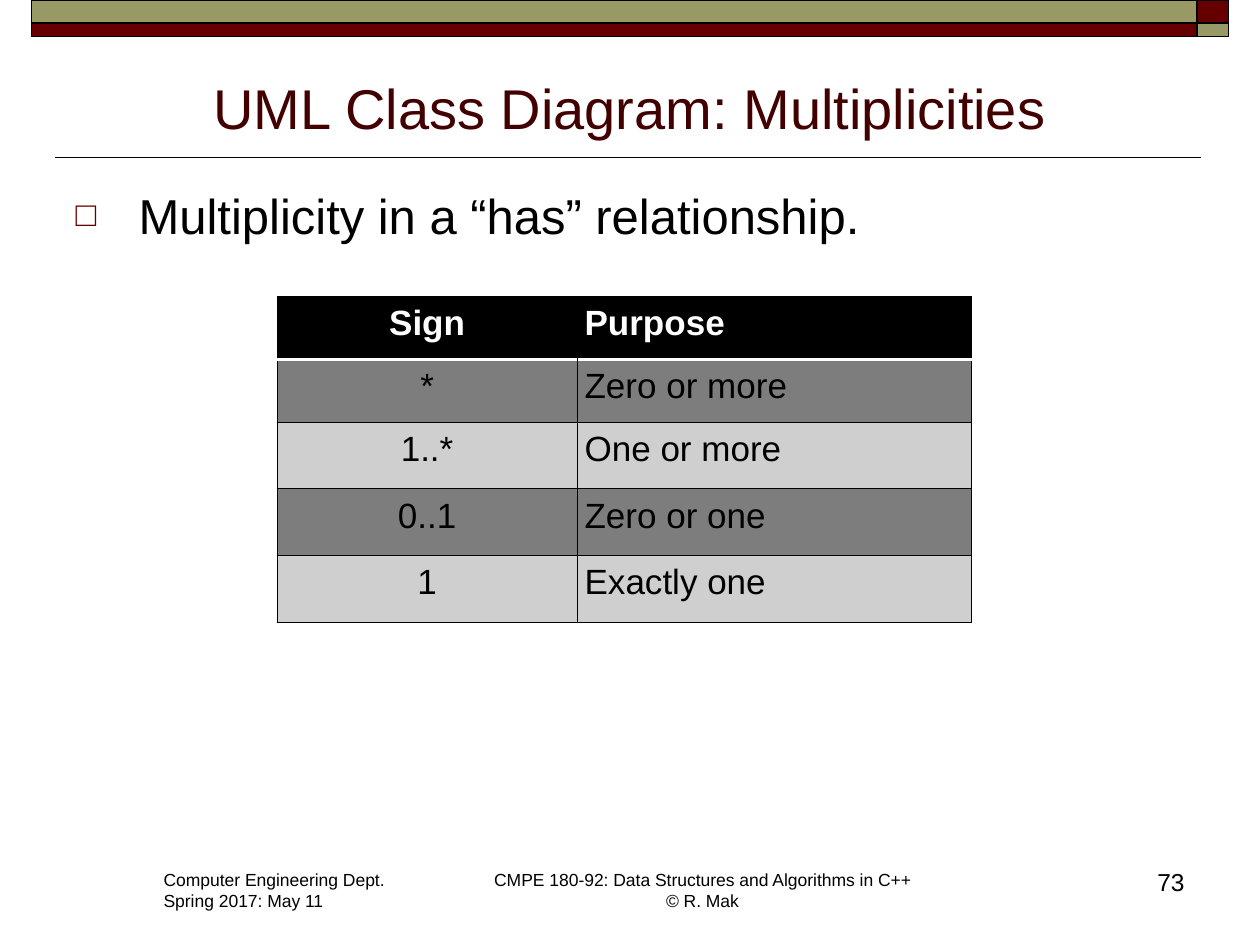
from dataclasses import dataclass
from typing import Optional

import lxml.etree
import pptx
import pptx.dml.color
import pptx.enum.shapes
import pptx.enum.text
import pptx.oxml.ns
import pptx.util

Inches = pptx.util.Inches
Pt = pptx.util.Pt
Align = pptx.enum.text.PP_ALIGN
qn = pptx.oxml.ns.qn

OLIVE, MAROON, DARK_RED = "999966", "660000", "420000"
BLACK, WHITE = "000000", "FFFFFF"
DARK_GRAY, LIGHT_GRAY = "7D7D7D", "CFCFCF"


@dataclass
class Band:
    left: float
    top: float
    width: float
    height: float
    color: str


@dataclass
class Label:
    left: float
    top: float
    width: float
    height: float
    text: str
    size: float
    align: Align
    wrap: bool = False


def rgb(color: str) -> pptx.dml.color.RGBColor:
    return pptx.dml.color.RGBColor.from_string(color)


def write(frame, text: str, *, size: float, color: str = BLACK,
          align: Align = Align.LEFT, bold: bool = False) -> None:
    """Fill a text frame; a newline starts a paragraph, \\v breaks a line."""
    frame.text = text
    for para in frame.paragraphs:
        para.alignment = align
        para.space_before = Pt(0)
        for span in para.runs:
            span.font.name = "Arial"
            span.font.size = Pt(size)
            span.font.bold = bold
            span.font.color.rgb = rgb(color)


def place(shape, left: float, top: float, width: float, height: float) -> None:
    shape.left, shape.top = Inches(left), Inches(top)
    shape.width, shape.height = Inches(width), Inches(height)


def draw_band(page, band: Band) -> None:
    shape = page.shapes.add_shape(
        pptx.enum.shapes.MSO_SHAPE.RECTANGLE, Inches(band.left),
        Inches(band.top), Inches(band.width), Inches(band.height))
    shape.shadow.inherit = False
    shape.fill.solid()
    shape.fill.fore_color.rgb = rgb(band.color)
    shape.line.color.rgb = rgb(BLACK)
    shape.line.width = Pt(1)


def draw_rule(page, left: float, right: float, y: float) -> None:
    rule = page.shapes.add_connector(
        pptx.enum.shapes.MSO_CONNECTOR.STRAIGHT,
        Inches(left), Inches(y), Inches(right), Inches(y))
    rule.line.color.rgb = rgb(BLACK)
    rule.line.width = Pt(1)
    lxml.etree.SubElement(rule._element.spPr, qn("a:effectLst"))


def draw_label(page, label: Label) -> None:
    box = page.shapes.add_textbox(
        Inches(label.left), Inches(label.top),
        Inches(label.width), Inches(label.height))
    box.text_frame.word_wrap = label.wrap
    write(box.text_frame, label.text, size=label.size, align=label.align)


def add_bullet(para, character: str, color: str, percent: int, indent: float) -> None:
    properties = para._p.get_or_add_pPr()
    properties.set("marL", str(Inches(indent)))
    properties.set("indent", str(-Inches(indent)))
    tint = lxml.etree.SubElement(properties, qn("a:buClr"))
    lxml.etree.SubElement(tint, qn("a:srgbClr"), val=color)
    lxml.etree.SubElement(properties, qn("a:buSzPct"), val=str(percent * 1000))
    lxml.etree.SubElement(properties, qn("a:buChar"), char=character)


def add_border(cell, side: str, color: Optional[str], width: float = 0.75) -> None:
    """Sides must be added in the order L, R, T, B, before the cell's fill."""
    border = lxml.etree.SubElement(
        cell._tc.get_or_add_tcPr(), qn(f"a:ln{side}"), w=str(Pt(width)))
    if color is None:
        lxml.etree.SubElement(border, qn("a:noFill"))
    else:
        fill = lxml.etree.SubElement(border, qn("a:solidFill"))
        lxml.etree.SubElement(fill, qn("a:srgbClr"), val=color)


def format_cell(cell, text: str, row: int, column: int) -> None:
    header = row == 0
    inner = None if header else BLACK
    add_border(cell, "L", BLACK if column == 0 else inner)
    add_border(cell, "R", BLACK if column == 1 else inner)
    add_border(cell, "T", *((WHITE, 2) if row == 1 else (BLACK,)))
    add_border(cell, "B", *((WHITE, 2) if header else (BLACK,)))
    cell.margin_left = cell.margin_right = Inches(0.06)
    cell.margin_top = cell.margin_bottom = Inches(0.06)
    cell.fill.solid()
    cell.fill.fore_color.rgb = rgb(
        BLACK if header else DARK_GRAY if row % 2 else LIGHT_GRAY)
    write(cell.text_frame, text, size=20, bold=header,
          color=WHITE if header else BLACK,
          align=Align.CENTER if column == 0 else Align.LEFT)


def draw_table(page, rows: list[tuple[str, str]], left: float, top: float,
               widths: list[float], heights: list[float]) -> None:
    table = page.shapes.add_table(
        len(rows), len(widths), Inches(left), Inches(top),
        Inches(sum(widths)), Inches(sum(heights))).table
    for column, width in zip(table.columns, widths):
        column.width = Inches(width)
    for row, height in zip(table.rows, heights):
        row.height = Inches(height)
    for row, texts in enumerate(rows):
        for column, text in enumerate(texts):
            format_cell(table.cell(row, column), text, row, column)


BANDS = [
    Band(9.5, 0, 0.25, 0.18, MAROON),
    Band(0.25, 0, 9.25, 0.18, OLIVE),
    Band(0.25, 0.18, 9.25, 0.11, MAROON),
    Band(9.5, 0.18, 0.25, 0.11, OLIVE),
]
LABELS = [
    Label(1.2, 6.85, 1.98, 0.44,
          "Computer Engineering Dept.\nSpring 2017: May 11", 10, Align.LEFT),
    Label(3.8, 6.85, 3.55, 0.44,
          "CMPE 180-92: Data Structures and Algorithms in C++\v© R. Mak",
          10, Align.CENTER),
    Label(7.42, 6.83, 2.08, 0.5, "73", 14, Align.RIGHT, wrap=True),
]
MULTIPLICITIES = [
    ("Sign", "Purpose"),
    ("*", "Zero or more"),
    ("1..*", "One or more"),
    ("0..1", "Zero or one"),
    ("1", "Exactly one"),
]


def main() -> None:
    deck = pptx.Presentation()
    deck.slide_width, deck.slide_height = Inches(10), Inches(7.5)
    page = deck.slides.add_slide(deck.slide_layouts[1])

    # Title and bullet
    title, body = page.shapes.title, page.placeholders[1]
    place(title, 0.5, 0.45, 9, 0.72)
    place(body, 0.5, 1.42, 9, 5.29)
    for holder in (title, body):
        holder.text_frame.auto_size = pptx.enum.text.MSO_AUTO_SIZE.NONE
    title.text_frame.vertical_anchor = pptx.enum.text.MSO_ANCHOR.BOTTOM
    write(title.text_frame, "UML Class Diagram: Multiplicities",
          size=32, color=DARK_RED, align=Align.CENTER)
    write(body.text_frame, "Multiplicity in a “has” relationship.", size=28)
    add_bullet(body.text_frame.paragraphs[0], "□", MAROON, 70, 0.5)

    # Header decoration
    draw_rule(page, 0.44, 9.53, 1.25)
    for band in BANDS:
        draw_band(page, band)

    # Multiplicity table
    draw_table(page, MULTIPLICITIES, 2.2, 2.35, [2.38, 3.13],
               [0.5, 0.5, 0.53, 0.53, 0.53])

    # Footer
    for label in LABELS:
        draw_label(page, label)

    deck.save("out.pptx")


if __name__ == "__main__":
    main()
